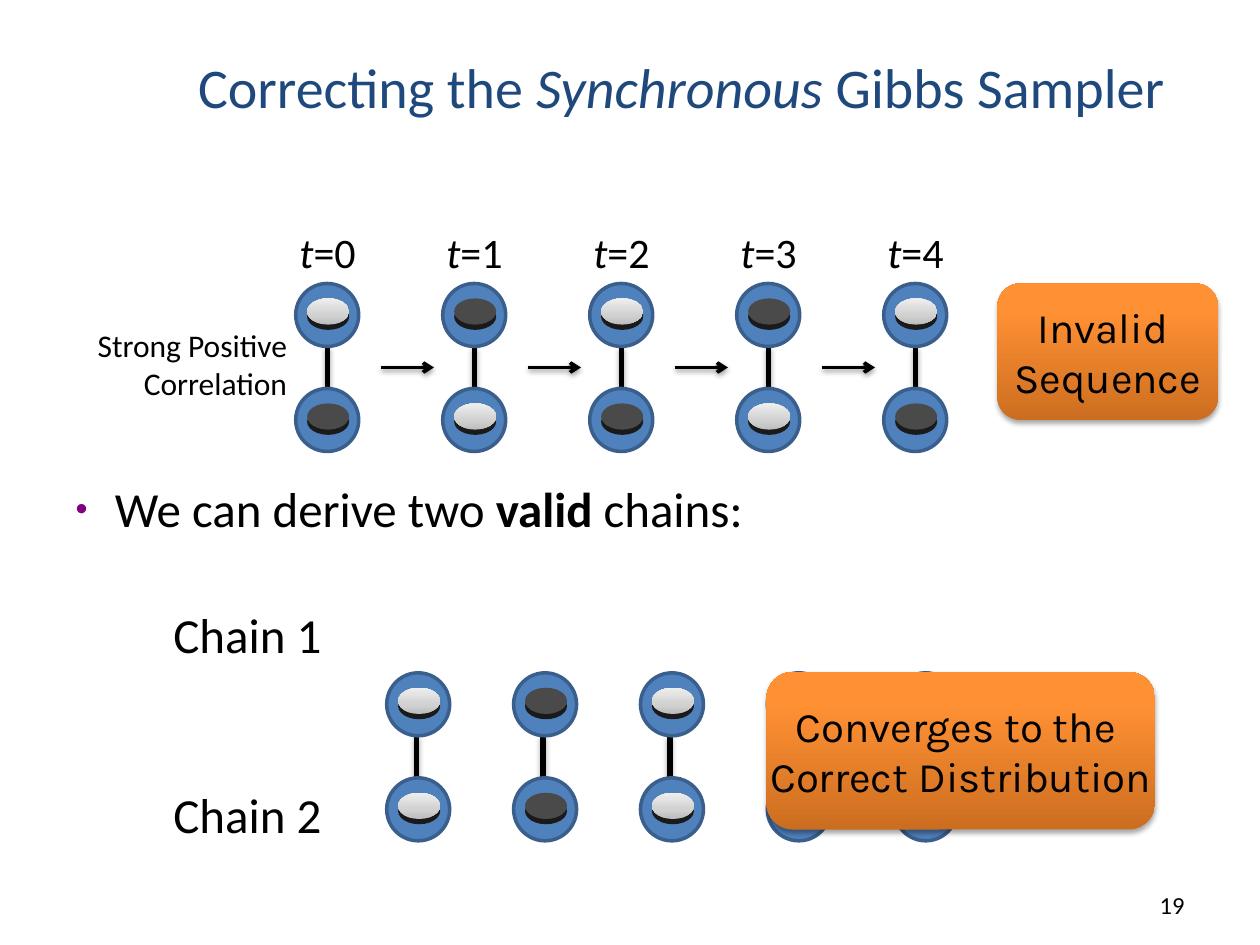
from dataclasses import dataclass

from lxml import etree
from pptx import Presentation
from pptx import util as u
from pptx.dml.color import RGBColor
from pptx.enum import shapes, text
from pptx.oxml.ns import qn

Pt = u.Pt
BLACK, NODE_FILL, NODE_LINE = "000000", "4F81BD", "3A5F8C"
COIN_EDGE, DARK_FACE = "1A1A1A", "4A4A4A"
LIGHT_FACE = [(0, "BDBDBD"), (35, "D1D1D1"), (100, "EEEEEE")]
ORANGE = [(0, "CC6E20"), (80, "FF9034"), (100, "FF9136")]
NODE, NODE_GAP = 36, 60  # diameter, and distance from upper to lower node
COIN_WIDTH, COIN_HEIGHT, COIN_DEPTH = 24, 15, 3
LEFT, CENTER, RIGHT = text.PP_ALIGN.LEFT, text.PP_ALIGN.CENTER, text.PP_ALIGN.RIGHT
TOP, MIDDLE, BOTTOM = (text.MSO_ANCHOR.TOP, text.MSO_ANCHOR.MIDDLE,
                       text.MSO_ANCHOR.BOTTOM)


@dataclass
class Box:
    left: float
    top: float
    width: float
    height: float

    def lengths(self) -> list:
        return [Pt(value) for value in (self.left, self.top, self.width, self.height)]


@dataclass
class Pair:
    """Two linked variables; True stands for a light coin, False for a dark one."""
    left: float
    top: float
    upper_light: bool
    lower_light: bool
    link_offset: float = NODE / 2


@dataclass
class Style:
    size: float
    color: str = BLACK
    font: str = "Calibri"
    align: text.PP_ALIGN = LEFT
    anchor: text.MSO_ANCHOR = TOP
    wrap: bool = False


def rgb(color: str) -> RGBColor:
    return RGBColor.from_string(color)


def set_shadow(shape, opacity: int = 0, distance: float = 1.8) -> None:
    """Give the shape a soft shadow below it, or none when opacity is 0."""
    effects = etree.SubElement(shape._element.spPr, qn("a:effectLst"))
    if opacity:
        shadow = etree.SubElement(
            effects, qn("a:outerShdw"), blurRad=str(Pt(3.1)),
            dist=str(Pt(distance)), dir="5400000", rotWithShape="0")
        color = etree.SubElement(shadow, qn("a:srgbClr"), val=BLACK)
        etree.SubElement(color, qn("a:alpha"), val=str(opacity * 1000))


def set_fill(shape, fill) -> None:
    """Fill with a hex colour, or with gradient stops running upwards."""
    if isinstance(fill, str):
        shape.fill.solid()
        shape.fill.fore_color.rgb = rgb(fill)
        return
    shape.fill.gradient()
    shape.fill.gradient_angle = 90
    stops = shape._element.spPr.find(qn("a:gradFill")).find(qn("a:gsLst"))
    for stop in list(stops):
        stops.remove(stop)
    for position, color in fill:
        stop = etree.SubElement(stops, qn("a:gs"), pos=str(position * 1000))
        etree.SubElement(stop, qn("a:srgbClr"), val=color)


def add_shape(slide, kind, box: Box, fill, line: str = "", shadow: int = 0):
    shape = slide.shapes.add_shape(kind, *box.lengths())
    set_fill(shape, fill)
    if line:
        shape.line.color.rgb = rgb(line)
        shape.line.width = Pt(2)
    else:
        shape.line.fill.background()
    set_shadow(shape, shadow)
    return shape


def add_line(slide, start: tuple, end: tuple, width: float, arrow: bool = False) -> None:
    line = slide.shapes.add_connector(
        shapes.MSO_CONNECTOR.STRAIGHT, *[Pt(value) for value in start + end])
    line.line.color.rgb = rgb(BLACK)
    line.line.width = Pt(width)
    if arrow:
        etree.SubElement(line.line._get_or_add_ln(), qn("a:tailEnd"), type="arrow")
        set_shadow(line, 38, 1.6)
    else:
        set_shadow(line, 35)


def format_text(shape, style: Style) -> None:
    frame = shape.text_frame
    frame.word_wrap = style.wrap
    frame.auto_size = text.MSO_AUTO_SIZE.NONE
    frame.vertical_anchor = style.anchor
    for paragraph in frame.paragraphs:
        paragraph.alignment = style.align
        for run in paragraph.runs:
            run.font.name = style.font
            run.font.size = Pt(style.size)
            run.font.color.rgb = rgb(style.color)


def add_runs(shape, *contents: str) -> list:
    paragraph = shape.text_frame.paragraphs[0]
    runs = [paragraph.add_run() for _ in contents]
    for run, content in zip(runs, contents):
        run.text = content
    return runs


def add_label(slide, box: Box, content: str, style: Style) -> None:
    label = slide.shapes.add_textbox(*box.lengths())
    label.text_frame.text = content
    format_text(label, style)


def add_callout(slide, box: Box, content: str) -> None:
    callout = add_shape(slide, shapes.MSO_SHAPE.ROUNDED_RECTANGLE, box, ORANGE, shadow=35)
    callout.text_frame.text = content
    format_text(callout, Style(24, font="Karla", align=CENTER, anchor=MIDDLE))


def add_node(slide, left: float, top: float, light: bool) -> None:
    """Draw a round node that holds a tilted coin."""
    oval = shapes.MSO_SHAPE.OVAL
    add_shape(slide, oval, Box(left, top, NODE, NODE), NODE_FILL, NODE_LINE)
    face = LIGHT_FACE if light else DARK_FACE
    for drop, fill in ((COIN_DEPTH, COIN_EDGE), (0, face)):
        coin = Box(left + 6.5, top + 8.5 + drop, COIN_WIDTH, COIN_HEIGHT)
        add_shape(slide, oval, coin, fill)


def add_pair(slide, pair: Pair) -> None:
    link_x = pair.left + pair.link_offset
    add_line(slide, (link_x, pair.top + NODE), (link_x, pair.top + NODE_GAP), 3)
    add_node(slide, pair.left, pair.top, pair.upper_light)
    add_node(slide, pair.left, pair.top + NODE_GAP, pair.lower_light)


def add_invalid_sequence(slide) -> None:
    for step in range(5):
        left, light = 169 + 84 * step, step % 2 == 0
        add_pair(slide, Pair(left, 162, light, not light))
        label = slide.shapes.add_textbox(*Box(left - 5, 126, 46.8, 36).lengths())
        variable, _ = add_runs(label, "t", f"={step}")
        variable.font.italic = True
        format_text(label, Style(24))
        if step:
            add_line(slide, (left - 35, 210), (left - 5, 210), 2, arrow=True)
    add_label(slide, Box(43.2, 183, 128, 51), "Strong Positive\nCorrelation",
              Style(18, align=RIGHT))
    add_callout(slide, Box(570, 162, 126, 78), "Invalid \nSequence")


def add_valid_chains(slide) -> None:
    for chain, top in ((1, 342), (2, 445)):
        add_label(slide, Box(92, top, 100, 41), f"Chain {chain}", Style(28))
    for step in range(5):
        light = step % 2 == 0
        add_pair(slide, Pair(221 + 72.5 * step, 384.5, light, light, 16.8))
    add_callout(slide, Box(438, 384, 222, 90),
                "Converges to the \nCorrect Distribution")


def place(shape, box: Box) -> None:
    shape.left, shape.top, shape.width, shape.height = box.lengths()


def fill_title(title) -> None:
    place(title, Box(106, 12, 590, 60))
    runs = add_runs(title, "Correcting the ", "Synchronous", " Gibbs Sampler")
    runs[1].font.italic = True
    format_text(title, Style(32, "1F497D", anchor=BOTTOM, wrap=True))


def fill_body(body) -> None:
    place(body, Box(36, 270, 648, 48))
    runs = add_runs(body, "We can derive two ", "valid", " chains:")
    runs[1].font.bold = True
    format_text(body, Style(28, wrap=True))
    properties = body.text_frame.paragraphs[0]._p.get_or_add_pPr()
    properties.set("marL", str(Pt(22.5)))
    properties.set("indent", str(Pt(-22.5)))
    bullet_color = etree.SubElement(properties, qn("a:buClr"))
    etree.SubElement(bullet_color, qn("a:srgbClr"), val="800080")
    etree.SubElement(properties, qn("a:buSzPct"), val="70000")
    etree.SubElement(properties, qn("a:buFont"), typeface="Arial")
    etree.SubElement(properties, qn("a:buChar"), char="•")


def main() -> None:
    presentation = Presentation()
    presentation.slide_width, presentation.slide_height = Pt(720), Pt(540)
    slide = presentation.slides.add_slide(presentation.slide_layouts[1])
    fill_title(slide.shapes.title)
    fill_body(slide.placeholders[1])
    add_invalid_sequence(slide)
    add_valid_chains(slide)
    add_label(slide, Box(594, 500, 90, 29), "19",
              Style(14, align=RIGHT, anchor=BOTTOM, wrap=True))
    presentation.save("out.pptx")


if __name__ == "__main__":
    main()
